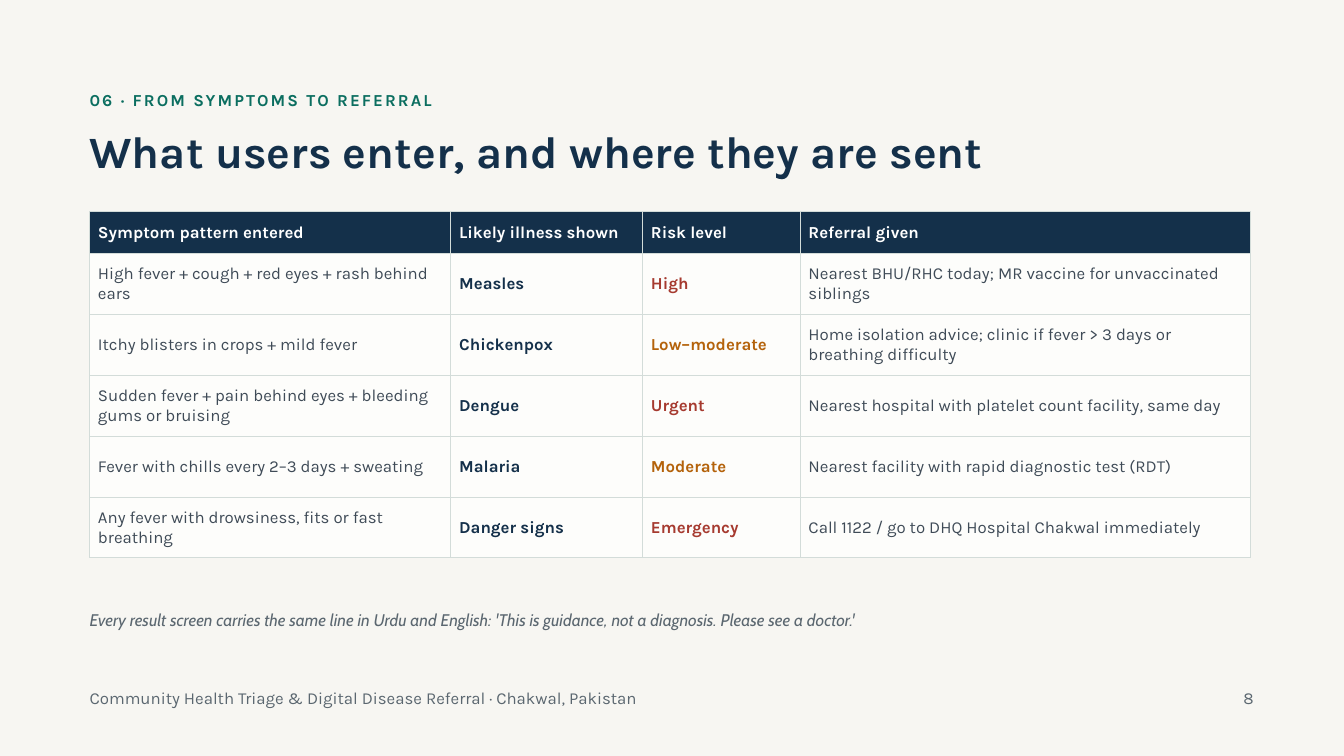
from lxml.etree import SubElement
from pptx import Presentation
from pptx.dml.color import RGBColor
from pptx.enum.text import MSO_ANCHOR as Anchor, MSO_AUTO_SIZE as AutoSize, PP_ALIGN as Align
from pptx.oxml.ns import qn
from pptx.util import Emu, Pt

PX = 9525  # EMU per px, 96 px to the inch

COLORS = {
    "paper": "F7F6F2", "cell": "FDFDFB", "rule": "D3DCD9", "white": "FFFFFF",
    "navy": "14304A", "green": "0B6E60", "text": "3F4B57", "muted": "5B6770",
    "red": "A63A2F", "amber": "B4620A",
}

EYEBROW = "06 · FROM SYMPTOMS TO REFERRAL"
TITLE = "What users enter, and where they are sent"
NOTE = ("Every result screen carries the same line in Urdu and English: "
        "'This is guidance, not a diagnosis. Please see a doctor.'")
FOOTER = "Community Health Triage & Digital Disease Referral · Chakwal, Pakistan"
PAGE_NUMBER = "8"

HEADERS = ["Symptom pattern entered", "Likely illness shown", "Risk level", "Referral given"]
ROWS = [
    ("High fever + cough + red eyes + rash behind ears", "Measles", "High",
     "Nearest BHU/RHC today; MR vaccine for unvaccinated siblings"),
    ("Itchy blisters in crops + mild fever", "Chickenpox", "Low–moderate",
     "Home isolation advice; clinic if fever > 3 days or breathing difficulty"),
    ("Sudden fever + pain behind eyes + bleeding gums or bruising", "Dengue", "Urgent",
     "Nearest hospital with platelet count facility, same day"),
    ("Fever with chills every 2–3 days + sweating", "Malaria", "Moderate",
     "Nearest facility with rapid diagnostic test (RDT)"),
    ("Any fever with drowsiness, fits or fast breathing", "Danger signs", "Emergency",
     "Call 1122 / go to DHQ Hospital Chakwal immediately"),
]
RISK_COLORS = {"High": "red", "Urgent": "red", "Emergency": "red",
               "Low–moderate": "amber", "Moderate": "amber"}

LEFT, WIDTH = 128, 1663
TABLE_TOP, HEADER_HEIGHT, ROW_HEIGHT = 302, 60, 87
COLUMN_WIDTHS = [516, 274, 225, 643]
CELL_INSET = 12


def px(*lengths):
    return [Emu(length * PX) for length in lengths]


def rgb(name):
    return RGBColor.from_string(COLORS[name])


def write(frame, text, size=18, color="text", face="Karla", bold=False, italic=False,
          align=Align.LEFT, spacing=0):
    """Put one formatted paragraph in a text frame; spacing is in points."""
    frame.word_wrap = True
    para = frame.paragraphs[0]
    para.alignment = align
    para.line_spacing = Pt(size * 1.2)
    span = para.add_run()
    span.text = text
    font = span.font
    font.name, font.size, font.bold, font.italic = face, Pt(size), bold, italic
    font.color.rgb = rgb(color)
    if spacing:
        font._element.set("spc", str(round(spacing * 100)))


def place_text(box, text, **style):
    frame = box.text_frame
    frame.margin_left = frame.margin_top = frame.margin_right = frame.margin_bottom = 0
    frame.vertical_anchor = Anchor.TOP
    frame.auto_size = AutoSize.NONE
    write(frame, text, **style)


def add_text(page, left, top, width, height, text, **style):
    place_text(page.shapes.add_textbox(*px(left, top, width, height)), text, **style)


def add_borders(cell):
    properties = cell._tc.get_or_add_tcPr()
    for index, side in enumerate(("lnL", "lnR", "lnT", "lnB")):
        line = SubElement(properties, qn(f"a:{side}"), w=str(Pt(0.75)))
        fill = SubElement(line, qn("a:solidFill"))
        SubElement(fill, qn("a:srgbClr"), val=COLORS["rule"])
        properties.insert(index, line)


def fill_cell(cell, text, fill, **style):
    cell.fill.solid()
    cell.fill.fore_color.rgb = rgb(fill)
    cell.margin_left, cell.margin_top, cell.margin_right, cell.margin_bottom = px(*[CELL_INSET] * 4)
    cell.vertical_anchor = Anchor.MIDDLE
    add_borders(cell)
    write(cell.text_frame, text, **style)


def add_referral_table(page):
    height = HEADER_HEIGHT + ROW_HEIGHT * len(ROWS)
    table = page.shapes.add_table(
        len(ROWS) + 1, len(HEADERS), *px(LEFT, TABLE_TOP, sum(COLUMN_WIDTHS), height)).table
    for column, width in zip(table.columns, px(*COLUMN_WIDTHS)):
        column.width = width
    for row, length in zip(table.rows, px(HEADER_HEIGHT, *[ROW_HEIGHT] * len(ROWS))):
        row.height = length

    for index, header in enumerate(HEADERS):
        fill_cell(table.cell(0, index), header, "navy", color="white", bold=True)
    for number, values in enumerate(ROWS, start=1):
        colors = ["text", "navy", RISK_COLORS[values[2]], "text"]
        for index, (value, color) in enumerate(zip(values, colors)):
            fill_cell(table.cell(number, index), value, "cell", color=color, bold=color != "text")


def main():
    deck = Presentation()
    deck.slide_width, deck.slide_height = px(1920, 1080)
    page = deck.slides.add_slide(deck.slide_layouts[5])
    page.background.fill.solid()
    page.background.fill.fore_color.rgb = rgb("paper")

    add_text(page, LEFT, 128, WIDTH, 37, EYEBROW, color="green", bold=True, spacing=2.2)
    title = page.shapes.title
    title.left, title.top, title.width, title.height = px(LEFT, 177, WIDTH, 76)
    place_text(title, TITLE, size=48, color="navy", bold=True)

    add_referral_table(page)

    add_text(page, LEFT, 871, WIDTH, 58, NOTE, color="muted", face="Cabin", italic=True)
    add_text(page, LEFT, 982, 1224, 37, FOOTER, color="muted")
    add_text(page, LEFT + WIDTH - 144, 982, 144, 37, PAGE_NUMBER, color="muted", align=Align.RIGHT)
    deck.save("out.pptx")


if __name__ == "__main__":
    main()
